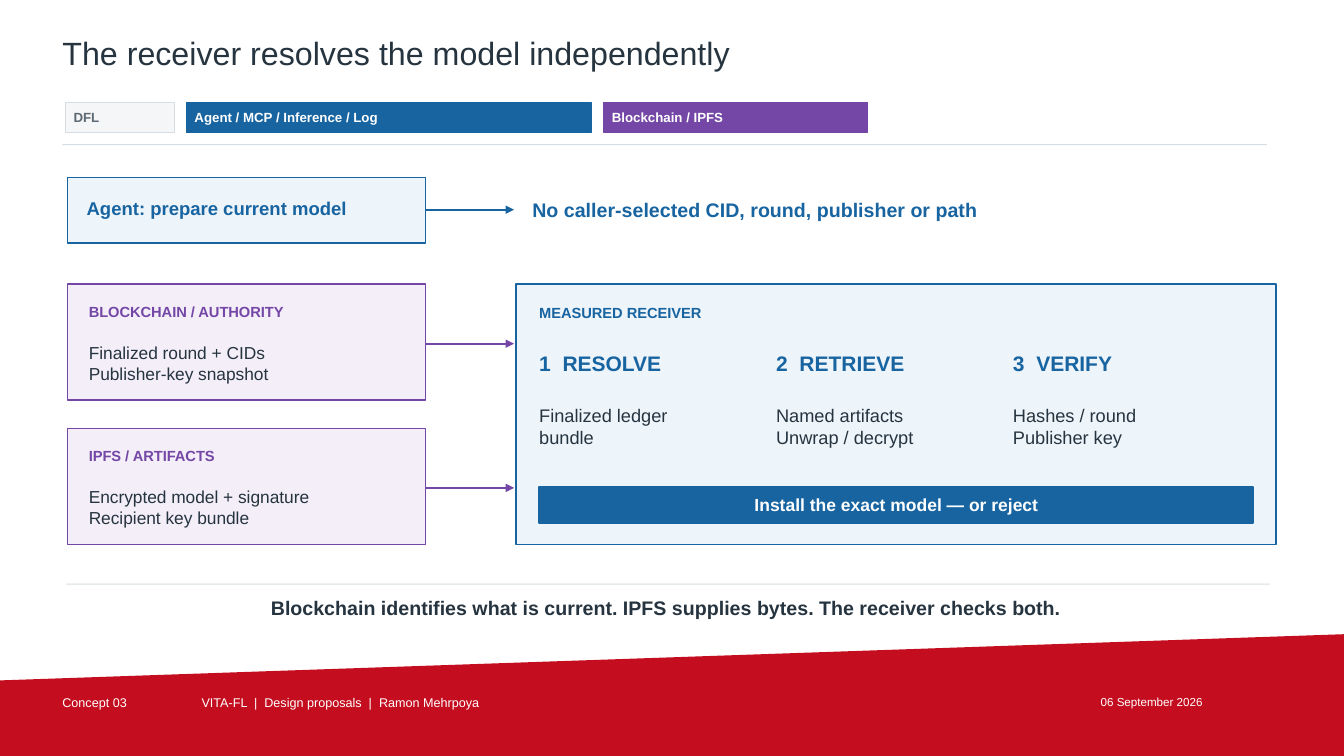
from lxml.etree import SubElement
from pptx import Presentation
from pptx.dml.color import RGBColor
from pptx.enum.shapes import MSO_CONNECTOR, MSO_SHAPE
from pptx.enum.text import MSO_AUTO_SIZE, PP_ALIGN
from pptx.oxml.ns import qn
from pptx.util import Pt

INK = RGBColor(0x26, 0x34, 0x40)
GREY = RGBColor(0x5D, 0x69, 0x73)
RULE = RGBColor(0xD7, 0xDE, 0xE3)
PALE_GREY = RGBColor(0xF5, 0xF6, 0xF7)
BLUE = RGBColor(0x17, 0x64, 0xA1)
PALE_BLUE = RGBColor(0xED, 0xF4, 0xFA)
PURPLE = RGBColor(0x74, 0x46, 0xA6)
PALE_PURPLE = RGBColor(0xF3, 0xEE, 0xF8)
RED = RGBColor(0xC4, 0x0D, 0x1E)
WHITE = RGBColor(0xFF, 0xFF, 0xFF)

SLIDE_WIDTH, SLIDE_HEIGHT = 960, 540


class SlideWriter:
    """Draws styled elements on one slide; all lengths are in points."""

    def __init__(self, slide, font_name="Arial", line_width=1.1):
        self.slide = slide
        self.font_name = font_name
        self.line_width = line_width

    def text(self, content, left, top, width, height, *, size, color=INK,
             bold=False, align=PP_ALIGN.LEFT):
        box = self.slide.shapes.add_textbox(Pt(left), Pt(top), Pt(width), Pt(height))
        frame = box.text_frame
        frame.word_wrap = True
        frame.auto_size = MSO_AUTO_SIZE.SHAPE_TO_FIT_TEXT
        frame.margin_left = frame.margin_right = 0
        frame.margin_top = frame.margin_bottom = 0
        paragraph = frame.paragraphs[0]
        paragraph.text = content
        paragraph.alignment = align
        for run in paragraph.runs:
            run.font.name = self.font_name
            run.font.size = Pt(size)
            run.font.bold = bold
            run.font.color.rgb = color

    def paint(self, shape, fill, line=None, line_width=None):
        shape.shadow.inherit = False
        shape.fill.solid()
        shape.fill.fore_color.rgb = fill
        if line is None:
            shape.line.fill.background()
        else:
            shape.line.color.rgb = line
            shape.line.width = Pt(line_width or self.line_width)

    def box(self, left, top, width, height, fill, line=None, line_width=None):
        shape = self.slide.shapes.add_shape(
            MSO_SHAPE.RECTANGLE, Pt(left), Pt(top), Pt(width), Pt(height))
        self.paint(shape, fill, line, line_width)

    def rule(self, left, top, width):
        self.box(left, top, width, 0.72, RULE)

    def polygon(self, points, fill):
        builder = self.slide.shapes.build_freeform(*points[0], scale=Pt(1))
        builder.add_line_segments(points[1:], close=True)
        self.paint(builder.convert_to_shape(), fill)

    def arrow(self, start, end, y, color):
        connector = self.slide.shapes.add_connector(
            MSO_CONNECTOR.STRAIGHT, Pt(start), Pt(y), Pt(end), Pt(y))
        connector.line.color.rgb = color
        connector.line.width = Pt(1.5)
        SubElement(connector.line._get_or_add_ln(), qn("a:tailEnd"), type="triangle")
        SubElement(connector._element.spPr, qn("a:effectLst"))


def draw_footer(writer):
    writer.polygon([(0, 486), (SLIDE_WIDTH, 452.9), (SLIDE_WIDTH, SLIDE_HEIGHT),
                    (0, SLIDE_HEIGHT)], RED)
    for content, left, width, size in (
            ("Concept 03", 44.6, 93.6, 9),
            ("VITA-FL  |  Design proposals  |  Ramon Mehrpoya", 144, 633.6, 9),
            ("06 September 2026", 786.2, 130.3, 8.3)):
        writer.text(content, left, 496.1, width, 15.8, size=size, color=WHITE)


def draw_header(writer):
    writer.text("The receiver resolves the model independently",
                44.6, 23.8, 774, 41, size=23)
    left, gap, inset = 46.8, 8.64, 5.76
    for label, width, fill, line, color in (
            ("DFL", 77.76, PALE_GREY, RULE, GREY),
            ("Agent / MCP / Inference / Log", 289.44, BLUE, BLUE, WHITE),
            ("Blockchain / IPFS", 188.64, PURPLE, PURPLE, WHITE)):
        writer.box(left, 73.4, width, 20.9, fill, line, 0.6)
        writer.text(label, left + inset, 77.8, width - 2 * inset, 13.7,
                    size=9.5, color=color, bold=True)
        left += width + gap
    writer.rule(44.6, 103, 860.4)


def draw_inputs(writer):
    left, width, arrow_end = 48.2, 255.8, 367.2
    right = left + width
    writer.box(left, 126.7, width, 46.8, PALE_BLUE, BLUE)
    writer.text("Agent: prepare current model", 61.9, 140.4, 228.2, 20.9,
                size=13.2, color=BLUE, bold=True)
    writer.arrow(right, arrow_end, 149.8, BLUE)
    writer.text("No caller-selected CID, round, publisher or path",
                380.2, 141.1, 512.6, 21.6, size=14, color=BLUE, bold=True)

    sources = (
        ("BLOCKCHAIN / AUTHORITY", "Finalized round + CIDs\nPublisher-key snapshot"),
        ("IPFS / ARTIFACTS", "Encrypted model + signature\nRecipient key bundle"))
    for index, (heading, body) in enumerate(sources):
        top = 203 + 103 * index
        writer.box(left, top, width, 82.8, PALE_PURPLE, PURPLE)
        writer.text(heading, 63.4, top + 13, 226.8, 16.6,
                    size=10.5, color=PURPLE, bold=True)
        writer.text(body, 63.4, top + 41.2, 226.8, 35.3, size=12.4)
        writer.arrow(right, arrow_end, top + 42.5, PURPLE)


def draw_receiver(writer):
    left = 385.2
    writer.box(368.6, 203, 542.9, 185.8, PALE_BLUE, BLUE)
    writer.text("MEASURED RECEIVER", left, 217.4, 496.8, 16.6,
                size=10.5, color=BLUE, bold=True)
    steps = (("RESOLVE", "Finalized ledger\nbundle"),
             ("RETRIEVE", "Named artifacts\nUnwrap / decrypt"),
             ("VERIFY", "Hashes / round\nPublisher key"))
    for index, (name, body) in enumerate(steps):
        step_left = left + 169.2 * index
        writer.text(f"{index + 1}  {name}", step_left, 250.6, 153.4, 24.5,
                    size=15, color=BLUE, bold=True)
        writer.text(body, step_left, 288.7, 151.2, 42.5, size=13)
    writer.box(left, 347.8, 510, 25.9, BLUE, BLUE)
    writer.text("Install the exact model — or reject", left + 10, 352.8, 490, 16.6,
                size=12.5, color=WHITE, bold=True, align=PP_ALIGN.CENTER)


def main():
    presentation = Presentation()
    presentation.slide_width = Pt(SLIDE_WIDTH)
    presentation.slide_height = Pt(SLIDE_HEIGHT)
    writer = SlideWriter(presentation.slides.add_slide(presentation.slide_layouts[6]))
    draw_footer(writer)
    draw_header(writer)
    draw_inputs(writer)
    draw_receiver(writer)
    writer.rule(47.5, 416.9, 859.7)
    writer.text("Blockchain identifies what is current. IPFS supplies bytes. "
                "The receiver checks both.", 51.8, 425.5, 848.2, 23.8,
                size=14, bold=True, align=PP_ALIGN.CENTER)
    presentation.save("out.pptx")


if __name__ == "__main__":
    main()
